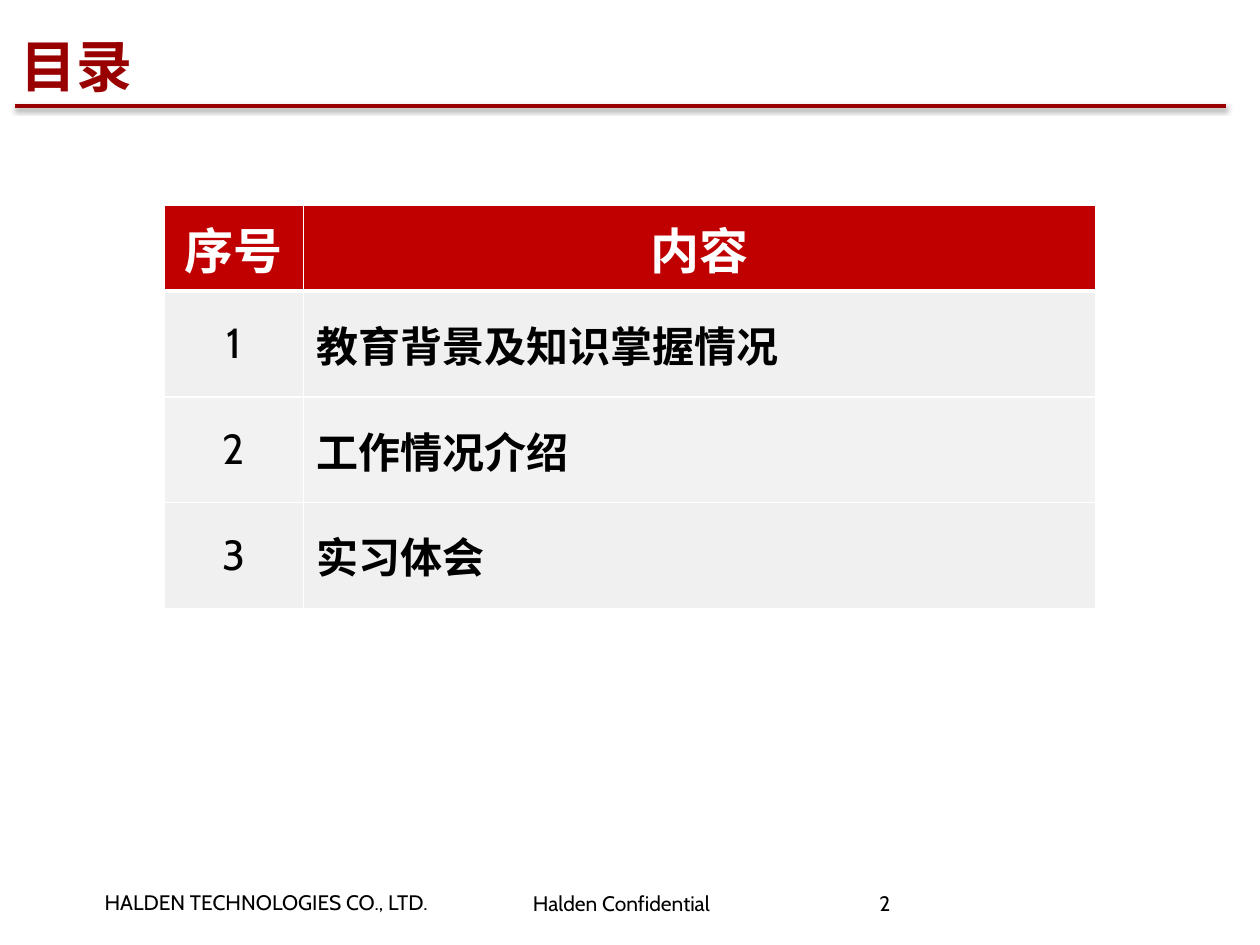
from lxml import etree
from pptx import Presentation
from pptx import util as u
from pptx.dml.color import RGBColor
from pptx.enum import shapes, text
from pptx.oxml import ns

WIDTH, HEIGHT = 10, 7.5
LATIN, CHINESE = "Cabin", "Noto Sans CJK SC"
DARK_RED, RED, WHITE, BLACK = "990000", "C00000", "FFFFFF", "000000"
BANDS = ["F0F0F0", "F2F2F2"]

TITLE = "目录"
HEADER = ("序号", "内容")
TOPICS = ["教育背景及知识掌握情况", "工作情况介绍", "实习体会"]
FOOTERS = [
    ("HALDEN TECHNOLOGIES CO., LTD.", 0.83, 7.06, 2.78),
    ("Halden Confidential", 4.23, 7.07, 1.58),
    ("2", 6.98, 7.07, 1.93),
]
TABLE_LEFT, TABLE_TOP = 1.3, 1.63
COLUMNS = [1.11, 6.29]
ROWS = [0.68] + [0.84] * len(TOPICS)


def color(value):
    return RGBColor.from_string(value)


def add_xml(parent, tag, **attributes):
    return etree.SubElement(parent, ns.qn(tag), attributes)


def add_span(para, words, size, ink, bold=False, font=LATIN):
    span = para.add_run()
    span.text = words
    span.font.size = u.Pt(size)
    span.font.bold = bold
    span.font.name = font
    span.font.color.rgb = color(ink)
    add_xml(span.font._element, "a:ea", typeface=CHINESE)


def add_text(page, words, left, top, width, height, size, ink, **style):
    box = page.shapes.add_textbox(*map(u.Inches, (left, top, width, height)))
    frame = box.text_frame
    frame.margin_left = frame.margin_right = 0
    frame.margin_top = frame.margin_bottom = 0
    frame.word_wrap = True
    frame.vertical_anchor = text.MSO_ANCHOR.MIDDLE
    add_span(frame.paragraphs[0], words, size, ink, **style)


def add_rule(page, left, right, top):
    rule = page.shapes.add_connector(
        shapes.MSO_CONNECTOR.STRAIGHT, *map(u.Inches, (left, top, right, top)))
    rule.line.color.rgb = color(DARK_RED)
    rule.line.width = u.Pt(2)
    effects = add_xml(rule._element.spPr, "a:effectLst")
    shadow = add_xml(effects, "a:outerShdw", blurRad=str(u.Pt(3.1)),
                     dist=str(u.Pt(1.6)), dir="5400000", rotWithShape="0")
    add_xml(add_xml(shadow, "a:srgbClr", val=BLACK), "a:alpha", val="38000")


def add_border(cell, side, points):
    line = add_xml(cell._tc.get_or_add_tcPr(), f"a:ln{side}", w=str(u.Pt(points)))
    add_xml(add_xml(line, "a:solidFill"), "a:srgbClr", val=WHITE)


def fill_cell(cell, words, row, column):
    header = row == 0
    thick = {0: "B", 1: "T"}.get(row)
    for side in "LRTB":
        add_border(cell, side, 3 if side == thick else 1)
    cell.fill.solid()
    cell.fill.fore_color.rgb = color(RED if header else BANDS[(row - 1) % 2])
    cell.vertical_anchor = text.MSO_ANCHOR.MIDDLE
    para = cell.text_frame.paragraphs[0]
    if header or column == 0:
        para.alignment = text.PP_ALIGN.CENTER
    add_span(para, words, 28 if header else 24, WHITE if header else BLACK,
             bold=header or column == 1)


def add_contents(page):
    content = [HEADER] + [(str(n), topic) for n, topic in enumerate(TOPICS, 1)]
    table = page.shapes.add_table(
        len(ROWS), len(COLUMNS),
        *map(u.Inches, (TABLE_LEFT, TABLE_TOP, sum(COLUMNS), sum(ROWS)))).table
    for column, width in zip(table.columns, COLUMNS):
        column.width = u.Inches(width)
    for row, height in zip(table.rows, ROWS):
        row.height = u.Inches(height)
    for r, line in enumerate(content):
        for c, words in enumerate(line):
            fill_cell(table.cell(r, c), words, r, c)


def main():
    deck = Presentation()
    deck.slide_width, deck.slide_height = u.Inches(WIDTH), u.Inches(HEIGHT)
    page = deck.slides.add_slide(deck.slide_layouts[6])
    for words, left, top, width in FOOTERS:
        add_text(page, words, left, top, width, 0.2, 12, BLACK)
    add_text(page, TITLE, 0.16, 0.04, 8.35, 0.95, 32, DARK_RED,
             bold=True, font=CHINESE)
    add_rule(page, 0.12, 9.73, 0.84)
    add_contents(page)
    deck.save("out.pptx")


if __name__ == "__main__":
    main()
